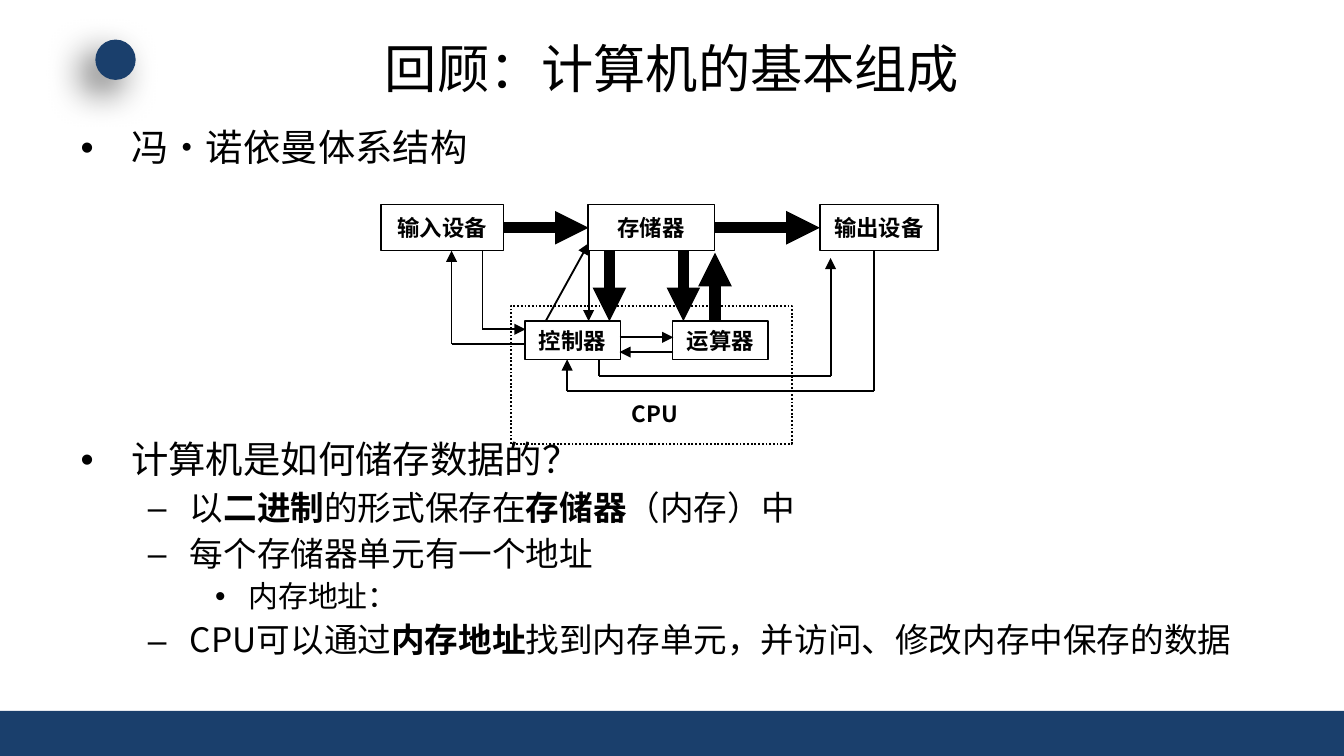
from itertools import pairwise

from lxml.etree import SubElement
from pptx import Presentation
from pptx.dml.color import RGBColor
from pptx.enum.dml import MSO_LINE_DASH_STYLE as Dash
from pptx.enum.shapes import MSO_CONNECTOR as Connector, MSO_SHAPE as Shape
from pptx.enum.text import MSO_ANCHOR as Anchor, MSO_AUTO_SIZE as AutoSize, PP_ALIGN as Align
from pptx.oxml.ns import qn
from pptx.util import Inches, Pt

NAVY = RGBColor(0x1A, 0x3F, 0x6C)
BLACK = RGBColor(0, 0, 0)
FONT = "Noto Sans CJK SC"
COLUMNS, ROWS = 100, 56.25
CELL = Inches(10) / COLUMNS
THIN, THICK = 1, 6
LINE_SPACING, SPACE_SHARE = 0.95, 0.23
DIAGRAM_GAP = 144
TOP_ROW, TOP_HEIGHT = 15.2, 3.45
CORE_ROW, CORE_HEIGHT = 23.9, 2.85
TOP_EDGE, CORE_EDGE = TOP_ROW + TOP_HEIGHT, CORE_ROW + CORE_HEIGHT

LEVELS = [
    {"size": 20, "bullet": "•", "margin": 3.75, "hang": 3.75},
    {"size": 18, "bullet": "–", "margin": 8.13, "hang": 3.13},
    {"size": 16, "bullet": "•", "margin": 12.5, "hang": 2.5},
]
OUTLINE = [
    (0, ["冯•诺依曼体系结构"]),
    (0, ["计算机是如何储存数据的？"]),
    (1, ["以", "二进制", "的形式保存在", "存储器", "（内存）中"]),
    (1, ["每个存储器单元有一个地址"]),
    (2, ["内存地址："]),
    (1, ["CPU可以通过", "内存地址", "找到内存单元，并访问、修改内存中保存的数据"]),
]
UNITS = [
    ("存储器", 43.75, TOP_ROW, 9.4, TOP_HEIGHT),
    ("输入设备", 28.35, TOP_ROW, 9.1, TOP_HEIGHT),
    ("输出设备", 61, TOP_ROW, 8.8, TOP_HEIGHT),
    ("控制器", 39.05, CORE_ROW, 7.1, CORE_HEIGHT),
    ("运算器", 50.05, CORE_ROW, 7.1, CORE_HEIGHT),
]
ROUTES = [
    (THICK, [(37.5, 16.95), (43.8, 16.95)]),
    (THICK, [(53.2, 16.95), (61, 16.95)]),
    (THICK, [(45.35, TOP_EDGE), (45.35, CORE_ROW)]),
    (THICK, [(50.85, TOP_EDGE), (50.85, CORE_ROW)]),
    (THICK, [(53.2, CORE_ROW), (53.2, 18.8)]),
    (THIN, [(43.8, TOP_EDGE), (43.8, CORE_ROW)]),
    (THIN, [(40.6, CORE_ROW), (43.8, 18.1)]),
    (THIN, [(46.1, 25.1), (50.1, 25.1)]),
    (THIN, [(50.1, 26.2), (46.1, 26.2)]),
    (THIN, [(35.9, TOP_EDGE), (35.9, 24.5), (39.1, 24.5)]),
    (THIN, [(39.1, 25.6), (33.6, 25.6), (33.6, TOP_EDGE)]),
    (THIN, [(44.6, CORE_EDGE), (44.6, 28), (61.8, 28), (61.8, 19.2)]),
    (THIN, [(65, TOP_EDGE), (65, 29.1), (42.2, 29.1), (42.2, CORE_EDGE)]),
]


def cells(*counts):
    return [round(count * CELL) for count in counts]


def apply(target, **values):
    for name, value in values.items():
        setattr(target, name, value)


def place(item, *area):
    apply(item, **dict(zip(("left", "top", "width", "height"), cells(*area))))


def write(para, text, size, bold=False):
    span = para.add_run()
    span.text = text
    apply(span.font, name=FONT, size=Pt(size), bold=bold)
    span.font.color.rgb = BLACK
    SubElement(span.font._element, qn("a:ea"), typeface=FONT)


def add_shape(page, kind, area, fill=None, width=None, dash=None):
    shape = page.shapes.add_shape(kind, *cells(*area))
    shape.shadow.inherit = False
    if fill is None:
        shape.fill.background()
    else:
        shape.fill.solid()
        shape.fill.fore_color.rgb = fill
    if width is None:
        shape.line.fill.background()
    else:
        shape.line.fill.solid()
        shape.line.color.rgb = BLACK
        apply(shape.line, width=Pt(width), dash_style=dash)
    return shape


def add_shadow(shape):
    effects = shape._element.spPr.find(qn("a:effectLst"))
    shadow = SubElement(effects, qn("a:outerShdw"), blurRad=str(Pt(20)), dist=str(Pt(10)),
                        dir=str(135 * 60000), algn="tr", rotWithShape="0")
    color = SubElement(shadow, qn("a:srgbClr"), val=str(BLACK))
    SubElement(color, qn("a:alpha"), val="60000")


def add_unit(page, label, *area):
    box = add_shape(page, Shape.RECTANGLE, area, width=0.75)
    apply(box.text_frame, word_wrap=False, vertical_anchor=Anchor.MIDDLE,
          margin_left=0, margin_right=0, margin_top=0, margin_bottom=0)
    para = box.text_frame.paragraphs[0]
    para.alignment = Align.CENTER
    write(para, label, 12, True)


def add_route(page, weight, points):
    for start, end in pairwise(points):
        link = page.shapes.add_connector(Connector.STRAIGHT, *cells(*start, *end))
        link.line.color.rgb = BLACK
        link.line.width = Pt(weight)
        SubElement(link._element.spPr, qn("a:effectLst"))
    SubElement(link.line._get_or_add_ln(), qn("a:tailEnd"), type="triangle")


def add_label(page, text, *area):
    box = page.shapes.add_textbox(*cells(*area))
    box.text_frame.word_wrap = True
    write(box.text_frame.paragraphs[0], text, 12, True)


def fill_title(title, text):
    place(title, 5, 2.25, 90, 5.5)
    apply(title.text_frame, vertical_anchor=Anchor.MIDDLE, auto_size=AutoSize.NONE)
    para = title.text_frame.paragraphs[0]
    para.alignment = Align.CENTER
    write(para, text, 28)


def fill_body(body):
    place(body, 5, 9, 90, 43.1)
    frame = body.text_frame
    frame.auto_size = AutoSize.NONE
    for index, (level, parts) in enumerate(OUTLINE):
        style = LEVELS[level]
        para = frame.add_paragraph() if index else frame.paragraphs[0]
        gap = DIAGRAM_GAP if index == 1 else style["size"] * SPACE_SHARE
        apply(para, level=level, line_spacing=LINE_SPACING, space_before=Pt(gap))
        margin, hang = cells(style["margin"], style["hang"])
        properties = para._p.get_or_add_pPr()
        properties.set("marL", str(margin))
        properties.set("indent", str(-hang))
        SubElement(properties, qn("a:buFont"), typeface="Arial")
        SubElement(properties, qn("a:buChar"), char=style["bullet"])
        for position, text in enumerate(parts):
            write(para, text, style["size"], position % 2 == 1)


def main():
    deck = Presentation()
    apply(deck, slide_width=round(COLUMNS * CELL), slide_height=round(ROWS * CELL))
    page = deck.slides.add_slide(deck.slide_layouts[1])
    add_shape(page, Shape.RECTANGLE, (0, 52.9, COLUMNS, ROWS - 52.9), NAVY)
    add_shadow(add_shape(page, Shape.OVAL, (7.1, 2.95, 3, 3), NAVY))
    fill_title(page.shapes.title, "回顾：计算机的基本组成")
    fill_body(page.placeholders[1])
    for unit in UNITS:
        add_unit(page, *unit)
    for weight, points in ROUTES:
        add_route(page, weight, points)
    add_shape(page, Shape.RECTANGLE, (38, 22.75, 20.9, 10.3), width=1, dash=Dash.ROUND_DOT)
    add_label(page, "CPU", 46, 29.3, 7.5, 3)
    deck.save("out.pptx")


if __name__ == "__main__":
    main()
